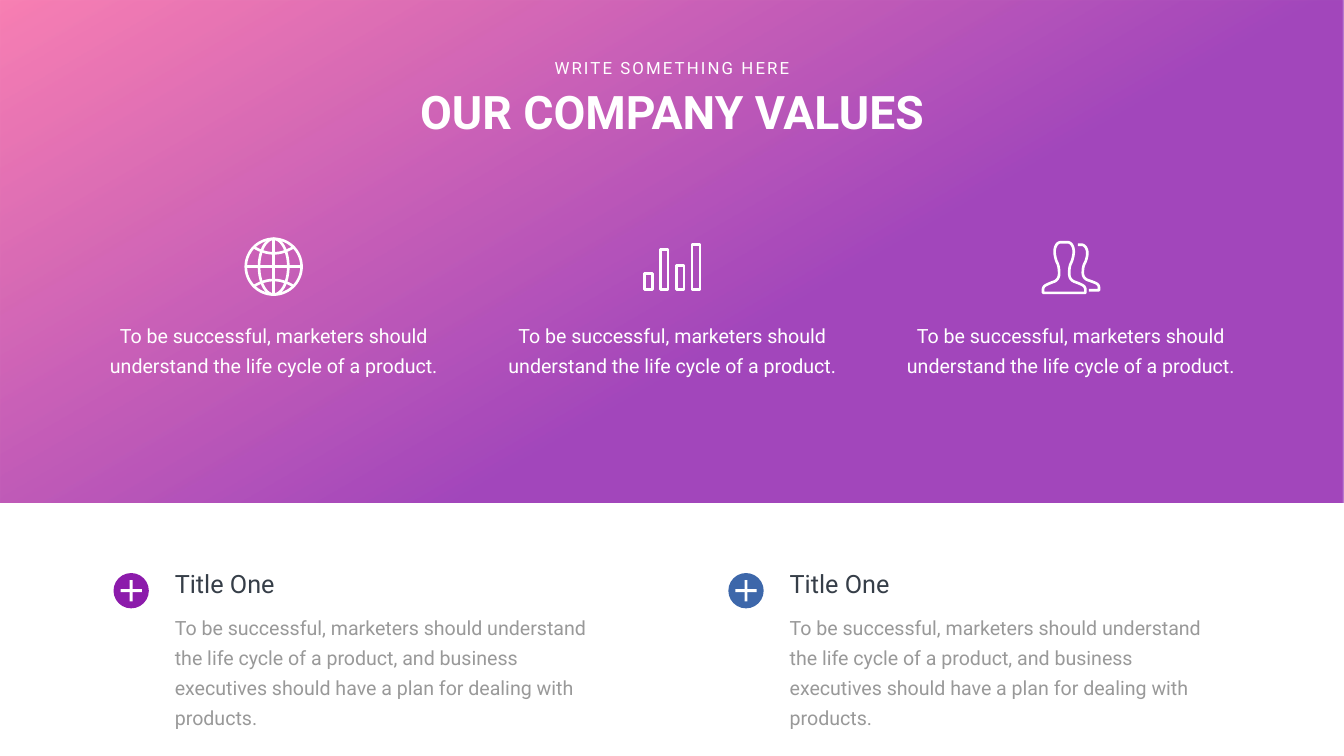
from math import cos, pi, sin

from lxml import etree
from pptx import Presentation
from pptx.dml.color import RGBColor
from pptx.enum.shapes import MSO_SHAPE
from pptx.enum.text import MSO_ANCHOR, MSO_AUTO_SIZE, PP_ALIGN
from pptx.oxml.ns import qn
from pptx.util import Cm, Pt

RECT, OVAL = MSO_SHAPE.RECTANGLE, MSO_SHAPE.OVAL
LEFT, CENTER = PP_ALIGN.LEFT, PP_ALIGN.CENTER
TOP = MSO_ANCHOR.TOP
GROW = MSO_AUTO_SIZE.SHAPE_TO_FIT_TEXT

FONT = "Roboto"
WHITE, PINK, PURPLE, BLUE = "FFFFFF", "F761A0", "8C1BAB", "3D67AA"
DARK, GRAY = "363E48", "999999"
WIDTH, HEIGHT = 67.72, 38.1
UNIT = 0.0254
ICON_Y = 13.44
LINE_PITCH = 43

VALUE = "To be successful, marketers should understand the life cycle of a product."
DETAIL = ("To be successful, marketers should understand the life cycle of a product, "
          "and business executives should have a plan for dealing with products.")


def rgb(color):
    return RGBColor.from_string(color)


def add_shape(s, kind, x, y, w, h, color):
    sp = s.shapes.add_shape(kind, Cm(x), Cm(y), Cm(w), Cm(h))
    sp.shadow.inherit = False
    sp.fill.solid()
    sp.fill.fore_color.rgb = rgb(color)
    sp.line.fill.background()
    return sp


def write(sp, text, size, color, align=LEFT, bold=False, pitch=None, spacing=None, wrap=True):
    tf = sp.text_frame
    tf.word_wrap = wrap
    tf.auto_size = GROW
    tf.vertical_anchor = TOP
    p = tf.paragraphs[0]
    p.alignment = align
    p.line_spacing = Pt(pitch) if pitch else 1.0
    p.space_before = Pt(0)
    r = p.add_run()
    r.text = text
    r.font.name = FONT
    r.font.size = Pt(size)
    r.font.bold = bold
    r.font.color.rgb = rgb(color)
    if spacing:
        r.font._element.set("spc", str(spacing * 100))


def add_text(s, x, y, w, h, text, **style):
    write(s.shapes.add_textbox(Cm(x), Cm(y), Cm(w), Cm(h)), text, **style)


def add_title(s, x, y, w, h, text, **style):
    title = s.shapes.title
    title.left, title.top, title.width, title.height = Cm(x), Cm(y), Cm(w), Cm(h)
    write(title, text, **style)


def add_backdrop(s):
    sp = add_shape(s, RECT, 0, 0, WIDTH, 25.3, PURPLE)
    sp.fill.gradient()
    sp.fill.gradient_angle = 300
    for stop, color, position in zip(sp.fill.gradient_stops, (PINK, PURPLE), (0, 0.6)):
        stop.color.rgb = rgb(color)
        stop.position = position
    for clr in sp._element.spPr.iter(qn("a:srgbClr")):
        etree.SubElement(clr, qn("a:alpha")).set("val", "80000")
    s.shapes.title._element.addprevious(sp._element)


def ellipse(rx, ry, steps=60):
    turns = [2 * pi * i / steps for i in range(steps + 1)]
    return [(rx * cos(t), ry * sin(t)) for t in turns]


def globe():
    r = 55.3
    lines = [ellipse(r, r), ellipse(29, r), [(-r, 0), (r, 0)], [(0, -r), (0, r)]]
    for side in (-1, 1):
        lines.append([(39 * i / 8, side * (26.5 + 12 * (i / 8) ** 2)) for i in range(-8, 9)])
    return lines


def bars():
    lines, bottom, width = [], 45.3, 15.7
    for i, top in enumerate((13.7, -34.3, -2.3, -44.3)):
        x = -55.3 + 31.6 * i
        lines.append([(x, top), (x + width, top), (x + width, bottom), (x, bottom), (x, top)])
    return lines


def smooth(points, rounds=3):
    for _ in range(rounds):
        cut = [points[0]]
        for (x0, y0), (x1, y1) in zip(points, points[1:]):
            cut += [(x0 + (x1 - x0) * t, y0 + (y1 - y0) * t) for t in (0.25, 0.75)]
        points = cut + [points[-1]]
    return points


def people():
    profile = smooth([(0, -48.5), (13, -48.5), (20, -34), (17, -14), (10, 0), (10, 26),
                      (32, 34), (42, 40), (42, 52)])
    front = [(side * x - 13, y) for side in (-1, 1) for x, y in profile[::side]]
    front.append(front[0])
    back = [(x + 14, 0.9 * y) for x, y in profile]
    return [front, back + [(36, back[-1][1])]]


def add_icon(s, lines, center):
    placed = [[(1000 * (center + UNIT * x), 1000 * (ICON_Y + UNIT * y)) for x, y in line]
              for line in lines]
    builder = s.shapes.build_freeform(*placed[0][0], scale=Cm(0.001))
    for points in placed:
        builder.move_to(*points[0])
        builder.add_line_segments(points[1:], close=False)
    sp = builder.convert_to_shape()
    sp.shadow.inherit = False
    sp.fill.background()
    sp.line.color.rgb = rgb(WHITE)
    sp.line.width = Pt(3.8)


def add_value(s, x, lines):
    width = 18.08
    add_icon(s, lines, x + width / 2)
    add_text(s, x, 15.88, width, 3.18, VALUE, size=28, color=WHITE, align=CENTER,
             pitch=LINE_PITCH)


def add_plus(s, x, y, color):
    size = 1.78
    add_shape(s, OVAL, x, y, size, size, color)
    for w, h in ((0.15, 1.07), (1.07, 0.15)):
        add_shape(s, RECT, x + (size - w) / 2, y + (size - h) / 2, w, h, WHITE)


def add_detail(s, x, color):
    add_plus(s, x, 28.88, color)
    add_text(s, x + 2.84, 30.58, 22.45, 4.72, DETAIL, size=28, color=GRAY, pitch=LINE_PITCH)
    add_text(s, x + 2.84, 28.52, 10.64, 1.8, "Title One", size=36, color=DARK)


def main():
    prs = Presentation()
    prs.slide_width, prs.slide_height = Cm(WIDTH), Cm(HEIGHT)
    s = prs.slides.add_slide(prs.slide_layouts[5])
    add_backdrop(s)
    add_title(s, 19.33, 4.09, 29.06, 3.07, "OUR COMPANY VALUES", size=66, color=WHITE,
              align=CENTER, bold=True)
    add_text(s, 27.51, 2.79, 12.7, 1.27, "WRITE SOMETHING HERE", size=24, color=WHITE,
             align=CENTER, spacing=3, wrap=False)
    for i, lines in enumerate((globe(), bars(), people())):
        add_value(s, 4.75 + 20.08 * i, lines)
    for i, color in enumerate((PURPLE, BLUE)):
        add_detail(s, 5.72 + 30.98 * i, color)
    prs.save("out.pptx")


if __name__ == "__main__":
    main()
